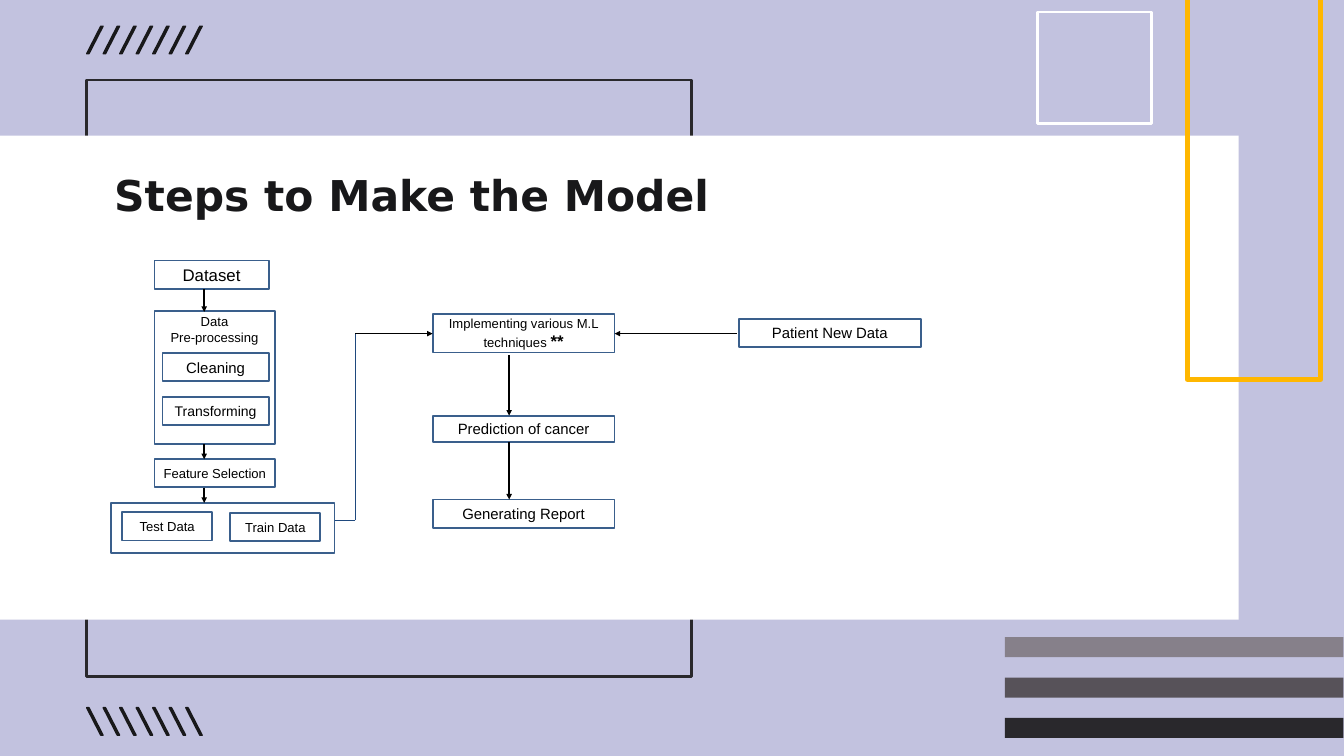
from dataclasses import dataclass
from itertools import pairwise

from lxml import etree
from pptx import Presentation
from pptx import util as u
from pptx.dml import color
from pptx.enum import shapes, text
from pptx.oxml import ns
from pptx.shapes.autoshape import Shape
from pptx.slide import Slide


@dataclass(frozen=True)
class Theme:
    lavender: str = "C2C2DF"
    white: str = "FFFFFF"
    black: str = "000000"
    ink: str = "18181A"
    charcoal: str = "29282C"
    gold: str = "FFB700"
    step_edge: str = "3A5F8C"
    link_blue: str = "1F497D"
    bars: tuple[str, ...] = ("86808A", "575259", "29282C")
    title_font: str = "DejaVu Sans"
    body_font: str = "Arial"
    title_size: float = 45.5
    large: float = 18
    medium: float = 16
    small: float = 14


@dataclass(frozen=True)
class Area:
    left: float
    top: float
    width: float
    height: float


@dataclass(frozen=True)
class Step:
    area: Area
    label: str = ""
    size: float = 14
    mark: str = ""
    framed: bool = True


@dataclass(frozen=True)
class Link:
    start: tuple[float, float]
    end: tuple[float, float]
    colour: str = "000000"
    arrow: bool = True


THEME = Theme()

# Flowchart columns and contents
LEFT, MIDDLE, RIGHT = 165.6, 463.7, 792
WIDE, ROW = 195.1, 30.2
FLOW_X, MODEL_X, ELBOW_X, MODEL_Y = 218.9, 545.8, 380.9, 357.8

STEPS = (
    Step(Area(LEFT, 279.4, 122.4, ROW), "Dataset", THEME.large),
    Step(Area(LEFT, 333.4, 129.6, 142.6)),
    Step(Area(MIDDLE, 337, WIDE, 41), "Implementing various M.L techniques ", THEME.small, "**"),
    Step(Area(118.8, 539.3, 239.8, 54)),
    Step(Area(MIDDLE, 445.7, WIDE, 28.8), "Prediction of cancer", THEME.medium),
    Step(Area(LEFT, 492.5, 129.6, ROW), "Feature Selection", THEME.small),
    Step(Area(MIDDLE, 535.7, WIDE, ROW), "Generating Report", THEME.medium),
    Step(Area(174.2, 378.7, 113.8, ROW), "Cleaning", THEME.medium),
    Step(Area(174.2, 425.5, 113.8, ROW), "Transforming", 15),
    Step(Area(167, 332.6, 126, 41), "Data\nPre-processing", THEME.small, framed=False),
    Step(Area(131, 549.4, 96.5, ROW), "Test Data", THEME.small),
    Step(Area(247, 550.1, 96.5, ROW), "Train Data", THEME.small),
    Step(Area(RIGHT, 342, WIDE, ROW), "Patient New Data", THEME.medium),
)

LINKS = (
    Link((FLOW_X, 310), (FLOW_X, 334.5)),
    Link((FLOW_X, 476), (FLOW_X, 492.5)),
    Link((FLOW_X, 523), (FLOW_X, 539.3)),
    Link((358.6, 558), (ELBOW_X, 558), THEME.link_blue, arrow=False),
    Link((ELBOW_X, 558), (ELBOW_X, MODEL_Y), THEME.link_blue, arrow=False),
    Link((ELBOW_X, MODEL_Y), (MIDDLE, MODEL_Y)),
    Link((MODEL_X, 380.9), (MODEL_X, 445.7)),
    Link((MODEL_X, 474), (MODEL_X, 535.7)),
    Link((790, MODEL_Y), (658.8, MODEL_Y)),
)


def rgb(code: str) -> color.RGBColor:
    return color.RGBColor.from_string(code)


def paint(shape: Shape, fill: str = "", edge: str = "", weight: float = 0) -> Shape:
    shape.shadow.inherit = False
    if fill:
        shape.fill.solid()
        shape.fill.fore_color.rgb = rgb(fill)
    else:
        shape.fill.background()
    if edge:
        shape.line.color.rgb = rgb(edge)
        shape.line.width = u.Pt(weight)
    else:
        shape.line.fill.background()
    return shape


def add_box(page: Slide, area: Area, fill: str = "", edge: str = "", weight: float = 0) -> Shape:
    box = page.shapes.add_shape(
        shapes.MSO_SHAPE.RECTANGLE,
        u.Pt(area.left), u.Pt(area.top), u.Pt(area.width), u.Pt(area.height))
    return paint(box, fill, edge, weight)


def add_outline(page: Slide, points: list[tuple[float, float]], close: bool) -> Shape:
    corners = [(u.Pt(x), u.Pt(y)) for x, y in points]
    builder = page.shapes.build_freeform(*corners[0])
    builder.add_line_segments(corners[1:], close=close)
    return builder.convert_to_shape()


def add_slashes(page: Slide, top: float, rising: bool) -> None:
    """Draw a row of seven slanted strokes."""
    height, pitch, lean, foot = 29.5, 17.7, 15.1, 2.5
    upper, lower = (lean, 0) if rising else (0, lean)
    for index in range(7):
        left = 92.9 + index * pitch
        stroke = add_outline(page, [
            (left + upper, top), (left + upper + foot, top),
            (left + lower + foot, top + height), (left + lower, top + height)], True)
        paint(stroke, THEME.ink, THEME.ink, 1.47)


def add_title(page: Slide, label: str) -> None:
    title = page.shapes.title
    title.left, title.top = u.Pt(122.4), u.Pt(181.4)
    title.width, title.height = u.Pt(1098), u.Pt(74.2)
    frame = title.text_frame
    frame.text = label
    frame.margin_left = frame.margin_right = frame.margin_top = frame.margin_bottom = 0
    frame.vertical_anchor = text.MSO_ANCHOR.TOP
    frame.auto_size = text.MSO_AUTO_SIZE.NONE
    para = frame.paragraphs[0]
    para.alignment = text.PP_ALIGN.LEFT
    font = para.runs[0].font
    font.name, font.size, font.bold = THEME.title_font, u.Pt(THEME.title_size), True
    font.color.rgb = rgb(THEME.ink)
    # Bring the title in front of the panel
    title.element.getparent().append(title.element)


def add_step(page: Slide, step: Step) -> None:
    if step.framed:
        box = add_box(page, step.area, THEME.white, THEME.step_edge, 2)
    else:
        area = step.area
        box = page.shapes.add_textbox(
            u.Pt(area.left), u.Pt(area.top), u.Pt(area.width), u.Pt(area.height))
    if not step.label:
        return
    frame = box.text_frame
    frame.text = step.label
    frame.word_wrap = True
    frame.vertical_anchor = text.MSO_ANCHOR.MIDDLE if step.framed else text.MSO_ANCHOR.TOP
    if step.mark:
        frame.paragraphs[0].add_run().text = step.mark
    for para in frame.paragraphs:
        para.alignment = text.PP_ALIGN.CENTER
        for span in para.runs:
            marked = span.text == step.mark
            span.font.name = THEME.body_font
            span.font.size = u.Pt(THEME.large if marked else step.size)
            span.font.bold = marked
            span.font.color.rgb = rgb(THEME.black)


def add_link(page: Slide, link: Link) -> None:
    ends = [u.Pt(value) for value in (*link.start, *link.end)]
    line = page.shapes.add_connector(shapes.MSO_CONNECTOR.STRAIGHT, *ends)
    line.line.color.rgb = rgb(link.colour)
    line.line.width = u.Pt(1.5)
    properties = line.element.spPr
    if link.arrow:
        stroke = properties.find(ns.qn("a:ln"))
        etree.SubElement(stroke, ns.qn("a:tailEnd"), type="triangle")
    etree.SubElement(properties, ns.qn("a:effectLst"))


def main() -> None:
    deck = Presentation()
    deck.slide_width, deck.slide_height = u.Pt(1440.72), u.Pt(810.72)
    page = deck.slides.add_slide(deck.slide_layouts[5])

    # Backdrop
    page.background.fill.solid()
    page.background.fill.fore_color.rgb = rgb(THEME.lavender)
    add_box(page, Area(92.9, 85.7, 648.7, 639.4), edge=THEME.charcoal, weight=3)
    add_box(page, Area(0, 145.4, 1327.7, 519.1), THEME.white)
    add_slashes(page, 28.1, rising=True)

    # Title and flowchart
    add_title(page, "Steps to Make the Model")
    for step in STEPS:
        add_step(page, step)
    for link in LINKS:
        add_link(page, link)

    # Decorations
    add_slashes(page, 758.9, rising=False)
    bracket = add_outline(page, [(1273, 0), (1273, 406.8), (1415.5, 406.8), (1415.5, 0)], False)
    paint(bracket, edge=THEME.gold, weight=6)
    add_box(page, Area(1112.4, 12.8, 121.7, 120), edge=THEME.white, weight=3)
    for index, shade in enumerate(THEME.bars):
        add_box(page, Area(1077.1, 683.3 + index * 43.3, 362.9, 21.4), shade)

    deck.save("out.pptx")


if __name__ == "__main__":
    main()
